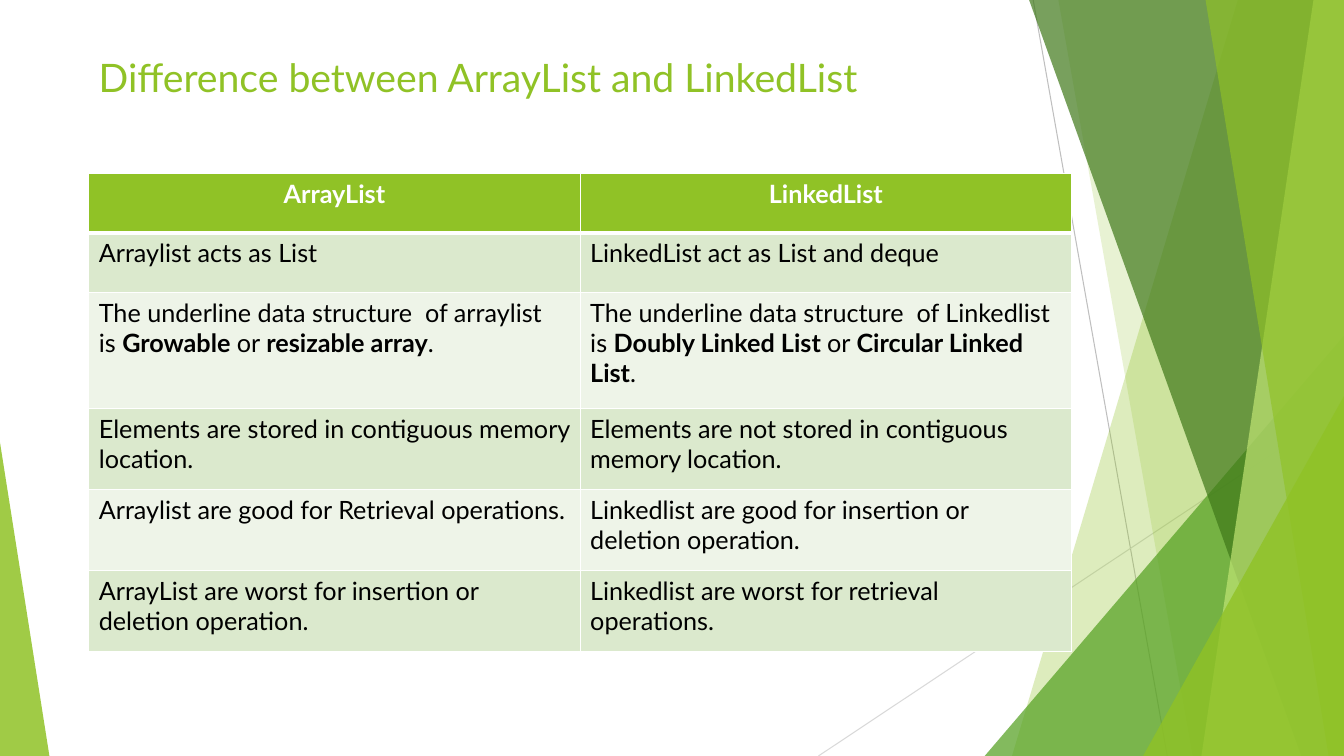
"""Build a slide comparing ArrayList and LinkedList in a table."""
import lxml.etree
import pptx
import pptx.dml.color
import pptx.enum.shapes
import pptx.enum.text
import pptx.oxml.ns
import pptx.util

Pt = pptx.util.Pt
RGB = pptx.dml.color.RGBColor.from_string
qn = pptx.oxml.ns.qn
sub = lxml.etree.SubElement


class Theme:
    font = "Lato"
    title = Pt(28)
    body = Pt(18)
    lime = "90C226"
    leaf = "54A021"
    moss = "3F7819"
    pale = "C0E474"
    white = "FFFFFF"
    black = "000000"
    bands = ["EEF4E8", "DBE9CD"]
    rules = ["BFBFBF", "D9D9D9"]


deck = pptx.Presentation()
deck.slide_width, deck.slide_height = Pt(960), Pt(540)
slide = deck.slides.add_slide(deck.slide_layouts[6])
shapes = slide.shapes


def wing(top, base):
    form = shapes.build_freeform(Pt(top), 0)
    form.add_line_segments([(Pt(960), 0), (Pt(960), Pt(540)), (Pt(base), Pt(540))])
    return form.convert_to_shape()


def peak(left, top, width, tip):
    kind = pptx.enum.shapes.MSO_SHAPE.ISOSCELES_TRIANGLE
    shape = shapes.add_shape(kind, Pt(left), Pt(top), Pt(width), Pt(540 - top))
    shape.adjustments[0] = tip
    return shape


ends = [(738, 0, 833.8, 540), (960, 290.2, 584.6, 540)]
for spots, color in zip(ends, Theme.rules):
    line = shapes.add_connector(
        pptx.enum.shapes.MSO_CONNECTOR.STRAIGHT, *[Pt(spot) for spot in spots]
    )
    line.line.color.rgb = RGB(color)
    line.line.width = Pt(0.75)
    sub(line._element.spPr, qn("a:effectLst"))

panels = [
    (wing(884.2, 722.9), Theme.lime, 30),
    (wing(756, 851.8), Theme.lime, 20),
    (peak(703.4, 239.8, 256.6, 1), Theme.leaf, 72),
    (wing(735.1, 929.5), Theme.moss, 70),
    (wing(938.2, 858.2), Theme.pale, 70),
    (wing(861.1, 949), Theme.lime, 65),
    (peak(816.5, 283, 143.5, 1), Theme.lime, 80),
    (peak(0, 316.1, 35.3, 0), Theme.lime, 85),
]
for panel, color, alpha in panels:
    panel.shadow.inherit = False
    panel.fill.solid()
    panel.fill.fore_color.rgb = RGB(color)
    tint = panel._element.spPr.find(".//" + qn("a:srgbClr"))
    sub(tint, qn("a:alpha"), val=str(alpha * 1000))
    panel.line.fill.background()

frame = shapes.add_textbox(Pt(63.4), Pt(34.6), Pt(702), Pt(100.8)).text_frame
frame.word_wrap = True
title = frame.paragraphs[0]
title.text = "Difference between ArrayList and LinkedList"
title.font.name = Theme.font
title.font.size = Theme.title
title.font.color.rgb = RGB(Theme.lime)

rows = [
    (42.5, "ArrayList", "LinkedList"),
    (42.5, "Arraylist acts as List", "LinkedList act as List and deque"),
    (83, "The underline data structure  of arraylist  is **Growable** or **resizable array**.",
     "The underline data structure  of Linkedlist is **Doubly Linked List **or **Circular Linked List**."),
    (57.8, "Elements are stored in contiguous memory location.",
     "Elements are not stored in contiguous memory location."),
    (57.8, "Arraylist are good for Retrieval operations.",
     "Linkedlist are good for insertion or deletion operation."),
    (57.8, "ArrayList are worst for insertion or deletion operation.",
     "Linkedlist are worst for retrieval operations."),
]
high = sum(row[0] for row in rows)
table = shapes.add_table(len(rows), 2, Pt(63.4), Pt(123.8), Pt(702), Pt(high)).table
for r, (height, *texts) in enumerate(rows):
    table.rows[r].height = Pt(height)
    head = r == 0
    for c, text in enumerate(texts):
        cell = table.cell(r, c)
        props = cell._tc.get_or_add_tcPr()
        for side in "LRTB":
            thick = (head and side == "B") or (r == 1 and side == "T")
            edge = sub(props, qn("a:ln" + side), w=str(Pt(3 if thick else 1)))
            sub(sub(edge, qn("a:solidFill")), qn("a:srgbClr"), val=Theme.white)
        cell.fill.solid()
        cell.fill.fore_color.rgb = RGB(Theme.lime if head else Theme.bands[r % 2])
        para = cell.text_frame.paragraphs[0]
        para.font.name = Theme.font
        para.font.size = Theme.body
        para.font.color.rgb = RGB(Theme.white if head else Theme.black)
        if head:
            para.alignment = pptx.enum.text.PP_ALIGN.CENTER
        for i, part in enumerate(text.split("**")):
            run = para.add_run()
            run.text = part
            run.font.bold = head or i % 2 == 1

deck.save("out.pptx")
